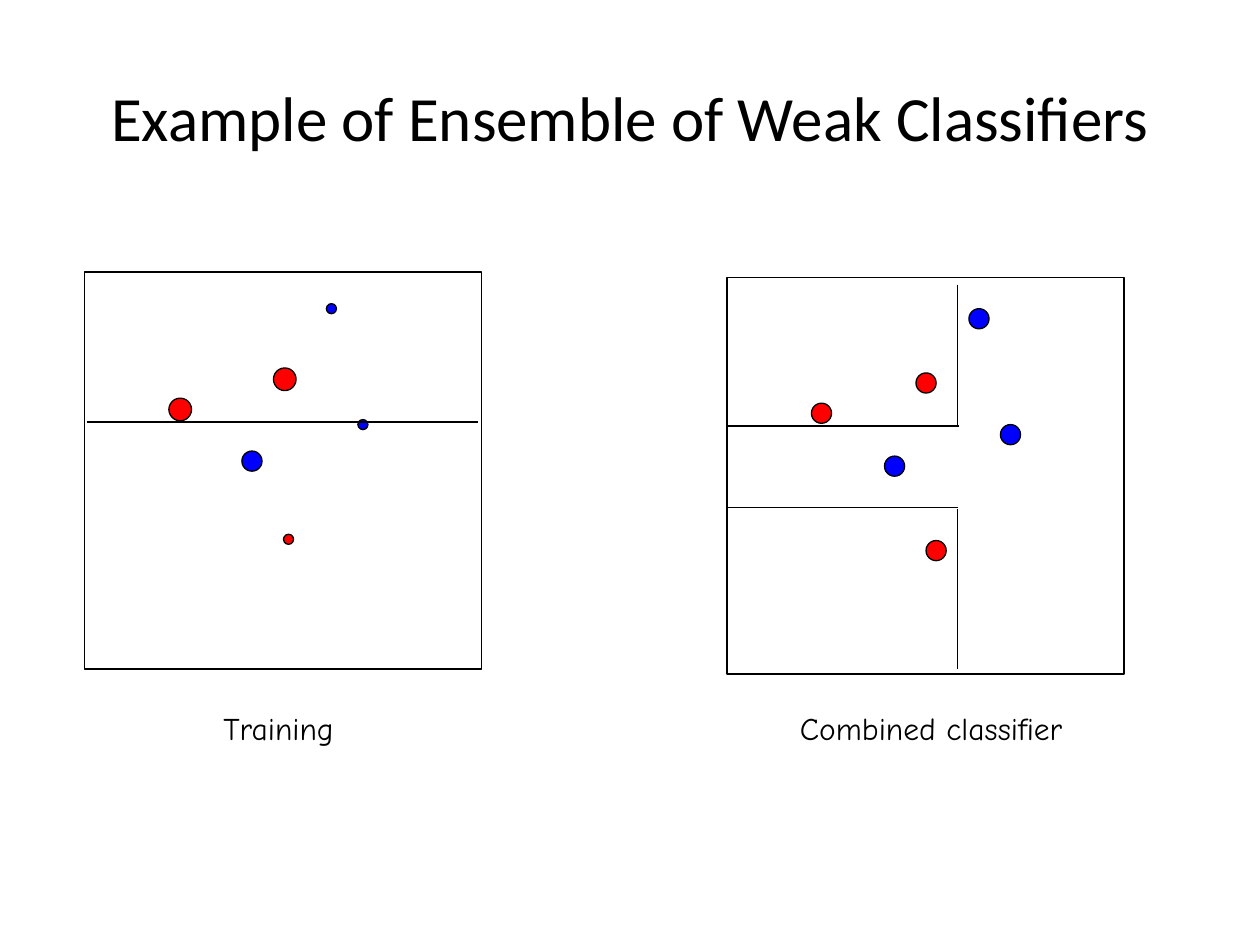
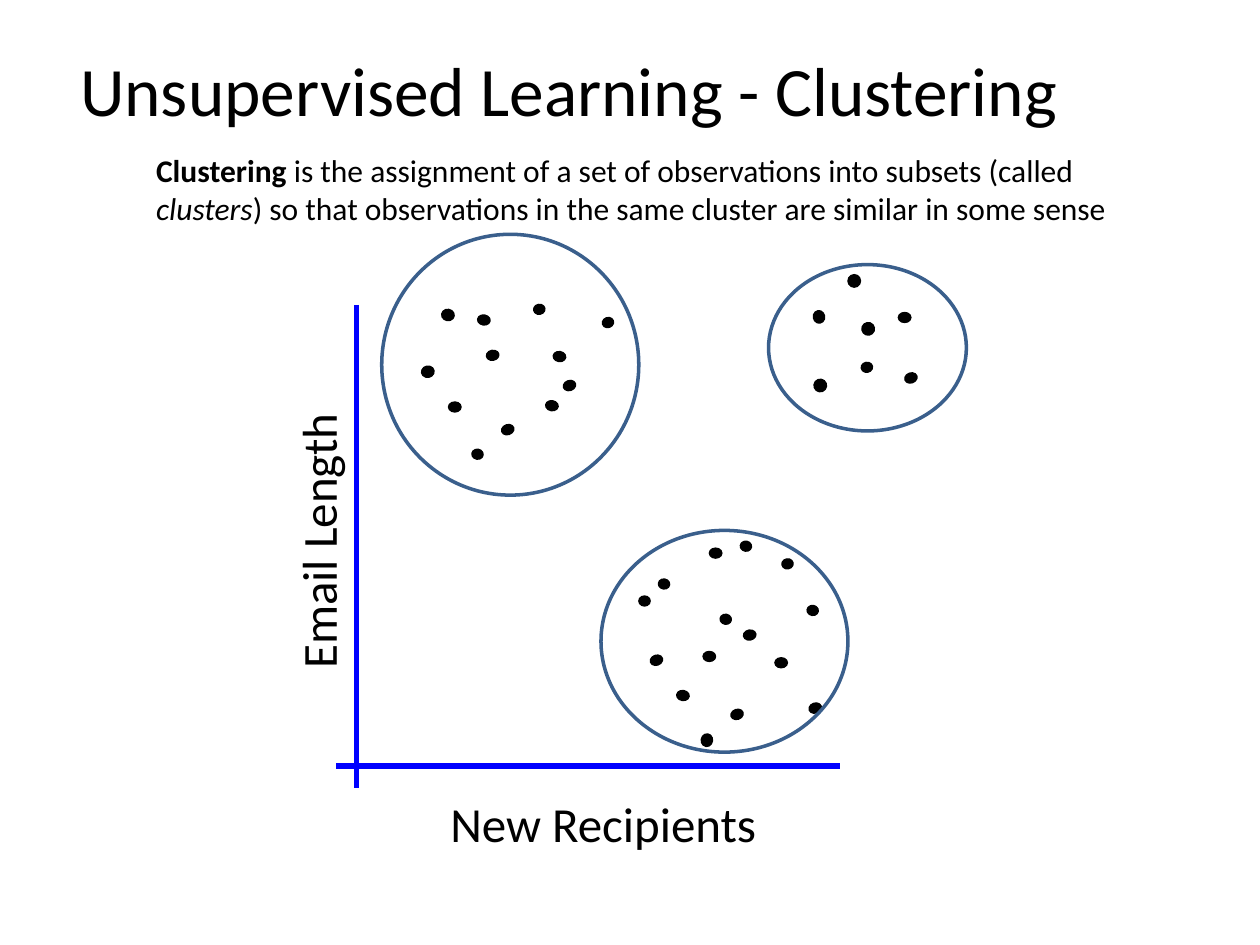
from dataclasses import dataclass

from pptx import Presentation
from pptx.dml.color import RGBColor
from pptx.enum.shapes import MSO_CONNECTOR as Link, MSO_SHAPE as Kind
from pptx.enum.text import MSO_ANCHOR as Anchor, MSO_AUTO_SIZE as Fit, PP_ALIGN as Align
from pptx.oxml.ns import qn
from pptx.util import Inches, Pt

BLACK, WHITE = "000000", "FFFFFF"
RED, BLUE, STEEL = "FF0000", "0000FF", "3A5F8C"
BODY, HAND = "Calibri", "Comic Neue"
THIN, RING, AXIS = 0.75, 2, 3
TITLE_ONLY = 5


@dataclass
class Box:
    """Left, top, width and height in inches."""
    x: float
    y: float
    w: float
    h: float

    def place(self) -> list:
        return [Inches(v) for v in (self.x, self.y, self.w, self.h)]


@dataclass
class Dot:
    x: float
    y: float
    size: float
    fill: str


@dataclass
class Panel:
    frame: Box
    label: str
    label_box: Box
    dots: list
    cuts: list


@dataclass
class Run:
    text: str
    bold: bool = False
    italic: bool = False


@dataclass
class Label:
    box: Box
    runs: list
    size: float
    face: str = BODY
    align: Align = Align.LEFT
    turn: float = 0


def color(code: str) -> RGBColor:
    return RGBColor.from_string(code)


def set_all(item, values: dict) -> None:
    for name, value in values.items():
        setattr(item, name, value)


def stroke(line, code: str, width: float) -> None:
    line.color.rgb = color(code)
    line.width = Pt(width)


def draw_shape(slide, kind: Kind, box: Box, fill: str = "", edge: str = BLACK,
               width: float = THIN, turn: float = 0) -> None:
    """Draw a preset shape; an empty fill leaves it open."""
    shape = slide.shapes.add_shape(kind, *box.place())
    shape.shadow.inherit = False
    shape.rotation = turn
    if fill:
        shape.fill.solid()
        shape.fill.fore_color.rgb = color(fill)
    else:
        shape.fill.background()
    stroke(shape.line, edge, width)


def draw_line(slide, ends: tuple, code: str = BLACK, width: float = THIN) -> None:
    line = slide.shapes.add_connector(Link.STRAIGHT, *[Inches(v) for v in ends])
    stroke(line.line, code, width)
    props = line._element.spPr
    props.append(props.makeelement(qn("a:effectLst"), {}))


def write(frame, runs: list, size: float, face: str, align: Align) -> None:
    para = frame.paragraphs[0]
    para.alignment = align
    for part in runs:
        run = para.add_run()
        run.text = part.text
        set_all(run.font, {"name": face, "size": Pt(size),
                           "bold": part.bold, "italic": part.italic})
        run.font.color.rgb = color(BLACK)


def draw_label(slide, label: Label) -> None:
    shape = slide.shapes.add_textbox(*label.box.place())
    shape.rotation = label.turn
    shape.text_frame.word_wrap = True
    write(shape.text_frame, label.runs, label.size, label.face, label.align)


def add_slide(deck, title: str, box: Box, size: float):
    slide = deck.slides.add_slide(deck.slide_layouts[TITLE_ONLY])
    slide.background.fill.solid()
    slide.background.fill.fore_color.rgb = color(WHITE)
    head = slide.shapes.title
    set_all(head, dict(zip(("left", "top", "width", "height"), box.place())))
    set_all(head.text_frame, {"word_wrap": True, "auto_size": Fit.NONE,
                              "vertical_anchor": Anchor.MIDDLE})
    write(head.text_frame, [Run(title)], size, BODY, Align.CENTER)
    return slide


SIDE = 3.15
SMALL, MID, LARGE = 0.08, 0.16, 0.18
PANELS = [
    Panel(Box(0.67, 2.16, SIDE, SIDE), "Training", Box(1.17, 5.58, 2.08, 0.4),
          [Dot(2.59, 2.41, SMALL, BLUE), Dot(1.92, 3.58, MID, BLUE),
           Dot(2.84, 3.33, SMALL, BLUE), Dot(2.17, 2.92, LARGE, RED),
           Dot(2.25, 4.24, SMALL, RED), Dot(1.34, 3.16, LARGE, RED)],
          [(0.69, 3.35, 3.79, 3.35)]),
    Panel(Box(5.77, 2.2, SIDE, SIDE), "Combined classifier", Box(6.14, 5.58, 2.5, 0.4),
          [Dot(7.69, 2.45, MID, BLUE), Dot(7.02, 3.62, MID, BLUE),
           Dot(7.94, 3.37, MID, BLUE), Dot(7.27, 2.96, MID, RED),
           Dot(7.35, 4.29, MID, RED), Dot(6.44, 3.2, MID, RED)],
          [(7.6, 4.04, 7.6, 5.31), (7.6, 4.03, 5.77, 4.03),
           (5.78, 3.38, 7.61, 3.38), (7.6, 2.26, 7.6, 3.38)]),
]

# Each tilt in degrees holds its mails as left, top, width, height
MAILS = {
    0: [(3.56, 3.19, 0.1, 0.08), (5.63, 4.35, 0.1, 0.08), (7.13, 2.48, 0.1, 0.08),
        (6.15, 5.22, 0.1, 0.08), (5.07, 4.73, 0.09, 0.08), (6.73, 2.18, 0.1, 0.1),
        (5.58, 5.17, 0.1, 0.08)],
    341.4: [(4.78, 2.52, 0.09, 0.08), (7.18, 2.96, 0.1, 0.08), (5.8, 5.63, 0.1, 0.08),
            (4.47, 3.02, 0.1, 0.08), (5.16, 5.2, 0.1, 0.08), (6.42, 5.58, 0.1, 0.08),
            (3.98, 3.37, 0.1, 0.08)],
    98.3: [(5.23, 4.59, 0.08, 0.09), (3.51, 2.45, 0.09, 0.1), (4.34, 3.17, 0.08, 0.1),
           (5.88, 4.29, 0.08, 0.09), (6.46, 3.01, 0.1, 0.1), (3.75, 3.56, 0.08, 0.09),
           (6.41, 4.8, 0.08, 0.09), (4.4, 2.78, 0.08, 0.1), (5.72, 4.87, 0.08, 0.09),
           (5.56, 5.83, 0.1, 0.09), (3.8, 2.49, 0.08, 0.1), (5.38, 5.47, 0.08, 0.1)],
    79.6: [(6.84, 2.56, 0.1, 0.1), (6.84, 2.87, 0.08, 0.09), (4.24, 2.41, 0.08, 0.09),
           (6.45, 2.47, 0.1, 0.09), (6.21, 4.43, 0.08, 0.09), (3.87, 2.77, 0.08, 0.1),
           (3.35, 2.9, 0.09, 0.1), (5.91, 4.99, 0.08, 0.1)],
}
AXES = [(2.83, 2.42, 2.83, 6.25), (2.67, 6.08, 6.67, 6.08)]
RINGS = [Box(3.03, 1.86, 2.04, 2.07), Box(6.1, 2.1, 1.57, 1.32),
         Box(4.77, 4.21, 1.96, 1.76)]
LABELS = [
    Label(Box(3.24, 6.25, 2.86, 0.57), [Run("New Recipients")], 28, align=Align.RIGHT),
    Label(Box(1.09, 4.33, 2.86, 0.57), [Run("Email Length")], 28,
          align=Align.RIGHT, turn=270),
    Label(Box(1.14, 1.15, 7.95, 0.71),
          [Run("Clustering ", bold=True),
           Run("is the assignment of a set of observations into subsets (called "),
           Run("clusters", italic=True),
           Run(") so that observations in the same cluster are similar in some sense")],
          18),
]


def draw_panel(slide, panel: Panel) -> None:
    draw_shape(slide, Kind.RECTANGLE, panel.frame, WHITE)
    for dot in panel.dots:
        draw_shape(slide, Kind.OVAL, Box(dot.x, dot.y, dot.size, dot.size), dot.fill)
    for cut in panel.cuts:
        draw_line(slide, cut)
    draw_label(slide, Label(panel.label_box, [Run(panel.label)], 18, HAND, Align.CENTER))


def add_weak(deck) -> None:
    slide = add_slide(deck, "Example of Ensemble of Weak Classifiers",
                      Box(0.5, 0.3, 9, 1.25), 36)
    for panel in PANELS:
        draw_panel(slide, panel)


def add_groups(deck) -> None:
    slide = add_slide(deck, "Unsupervised Learning - Clustering",
                      Box(0.17, 0.33, 8.69, 0.75), 39.6)
    for axis in AXES:
        draw_line(slide, axis, BLUE, AXIS)
    for tilt, mails in MAILS.items():
        for mail in mails:
            draw_shape(slide, Kind.OVAL, Box(*mail), BLACK, turn=tilt)
    for ring in RINGS:
        draw_shape(slide, Kind.OVAL, ring, edge=STEEL, width=RING)
    for label in LABELS:
        draw_label(slide, label)


def main() -> None:
    deck = Presentation()
    set_all(deck, {"slide_width": Inches(10), "slide_height": Inches(7.5)})
    add_weak(deck)
    add_groups(deck)
    deck.save("out.pptx")


if __name__ == "__main__":
    main()
